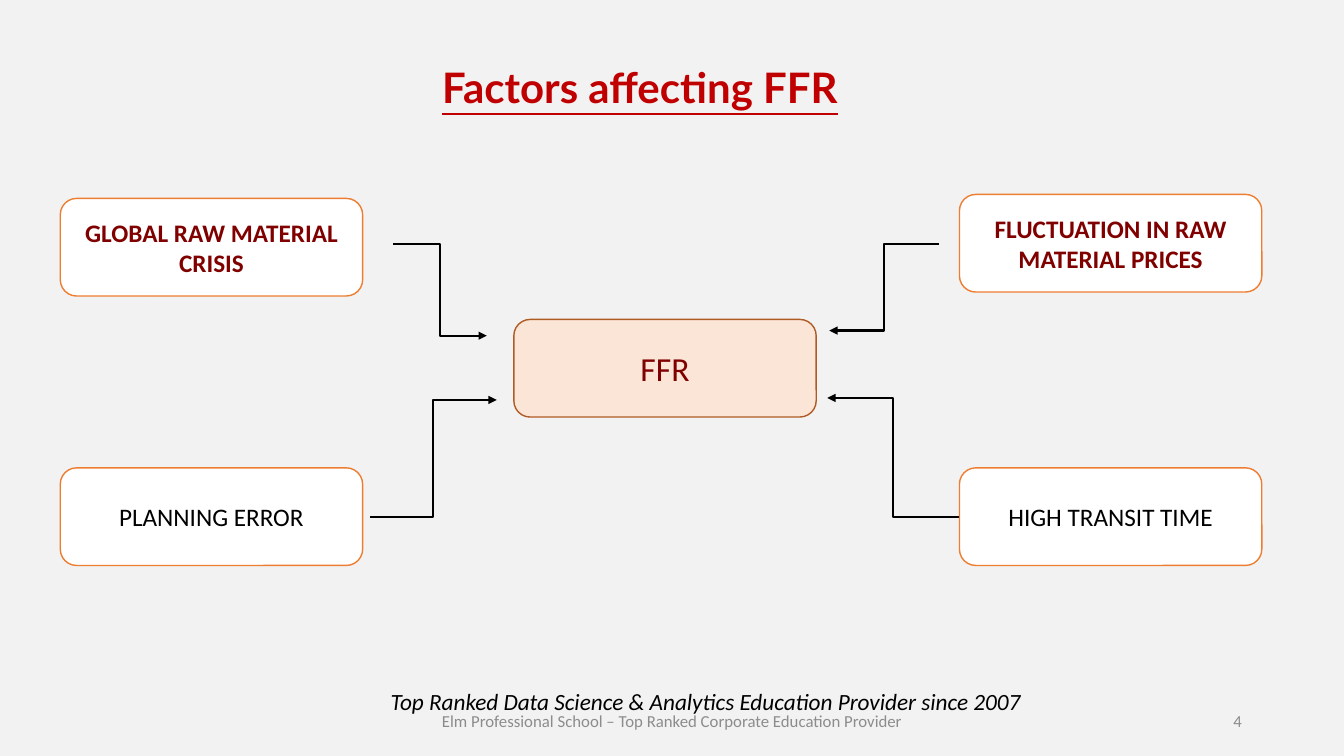
from lxml import etree
from pptx import Presentation
from pptx.dml.color import RGBColor
from pptx.enum.shapes import MSO_CONNECTOR, MSO_SHAPE
from pptx.enum.text import MSO_ANCHOR, MSO_AUTO_SIZE, PP_ALIGN
from pptx.oxml.ns import qn
from pptx.util import Cm, Pt

ELBOW = MSO_CONNECTOR.ELBOW
ROUNDED = MSO_SHAPE.ROUNDED_RECTANGLE
MIDDLE = MSO_ANCHOR.MIDDLE
NO_FIT = MSO_AUTO_SIZE.NONE
CENTER, RIGHT = PP_ALIGN.CENTER, PP_ALIGN.RIGHT

COLORS = {
    "page": "F2F2F2", "title": "C00000", "accent": "800000", "black": "000000",
    "white": "FFFFFF", "orange": "ED7D31", "peach": "FBE5D6",
    "brown": "AF5C24", "gray": "8C8C8C",
}
BOX_SIZE = (7.62, 2.46)
LEFT_X, RIGHT_X, LOWER_Y = 1.52, 24.18, 11.79

# Left, top, label, bold, text colour
FACTORS = [
    (LEFT_X, 5.0, "GLOBAL RAW MATERIAL CRISIS", True, "accent"),
    (RIGHT_X, 4.9, "FLUCTUATION IN RAW MATERIAL PRICES", True, "accent"),
    (LEFT_X, LOWER_Y, "PLANNING ERROR", False, "black"),
    (RIGHT_X, LOWER_Y, "HIGH TRANSIT TIME", False, "black"),
]
# Start x, start y, end x, end y
ARROWS = [
    (9.91, 6.15, 12.27, 8.46),
    (23.67, 6.15, 20.9, 8.33),
    (9.32, 13.03, 12.52, 10.08),
    (RIGHT_X, 13.03, 20.85, 10.03),
]


def color(name):
    """Return the named colour."""
    return RGBColor.from_string(COLORS[name])


def style_font(font, size, ink, name="Calibri", bold=False, italic=False):
    """Format a font."""
    font.name, font.size = name, Pt(size)
    font.bold, font.italic = bold, italic
    font.color.rgb = color(ink)


def prepare_para(shape, align=CENTER):
    """Set up a shape's text frame and return its first paragraph."""
    frame = shape.text_frame
    frame.word_wrap = True
    frame.auto_size = NO_FIT
    frame.vertical_anchor = MIDDLE
    para = frame.paragraphs[0]
    para.alignment = align
    return para


def write(shape, text, size, ink, **style):
    """Write one centred run and return it."""
    span = prepare_para(shape).add_run()
    span.text = text
    style_font(span.font, size, ink, **style)
    return span


def add_title(page, left, top, width, height):
    """Place and format the title placeholder."""
    title = page.shapes.title
    title.left, title.top = Cm(left), Cm(top)
    title.width, title.height = Cm(width), Cm(height)
    span = write(title, "Factors affecting FFR", 30, "title", name="Lato", bold=True)
    span.font.underline = True


def add_box(page, left, top, label, size, ink, fill="white", edge="orange", bold=False):
    """Add a labelled rounded box."""
    width, height = BOX_SIZE
    box = page.shapes.add_shape(ROUNDED, Cm(left), Cm(top), Cm(width), Cm(height))
    box.shadow.inherit = False
    box.fill.solid()
    box.fill.fore_color.rgb = color(fill)
    box.line.color.rgb = color(edge)
    box.line.width = Pt(1)
    write(box, label, size, ink, bold=bold)


def add_arrow(page, *ends):
    """Add an elbow arrow between two points."""
    arrow = page.shapes.add_connector(ELBOW, *map(Cm, ends))
    arrow.line.color.rgb = color("black")
    arrow.line.width = Pt(1.5)
    properties = arrow._element.spPr
    etree.SubElement(properties.find(qn("a:ln")), qn("a:tailEnd"), type="triangle")
    etree.SubElement(properties, qn("a:effectLst"))


def add_diagram(page, left, top):
    """Add the four factors, their arrows and FFR at the given position."""
    for x, y, label, bold, ink in FACTORS:
        add_box(page, x, y, label, 18, ink, bold=bold)
    add_box(page, left, top, "FFR", 24, "accent", fill="peach", edge="brown")
    for ends in ARROWS:
        add_arrow(page, *ends)


def add_page_number(box):
    """Put a right-aligned slide number field into the box."""
    para = prepare_para(box, RIGHT)
    field = etree.SubElement(
        para._p, qn("a:fld"),
        id="{B6F15528-21DE-4FAA-801E-634DDDAF4B2B}", type="slidenum")
    properties = etree.SubElement(field, qn("a:rPr"), lang="en-US", sz="1200")
    fill = etree.SubElement(properties, qn("a:solidFill"))
    etree.SubElement(fill, qn("a:srgbClr"), val=COLORS["gray"])
    etree.SubElement(properties, qn("a:latin"), typeface="Calibri")
    etree.SubElement(field, qn("a:t")).text = "4"


def add_footer(page, top):
    """Add the tagline, school name and page number from the given top."""
    def text_box(left, offset, width):
        """Add an empty text box below the footer's top."""
        return page.shapes.add_textbox(
            Cm(left), Cm(top + offset), Cm(width), Cm(1.01))

    write(text_box(5.79, 0, 23.98),
          "Top Ranked Data Science & Analytics Education Provider since 2007",
          16.6, "black", italic=True)
    write(text_box(10.5, 0.49, 12.88),
          "Elm Professional School – Top Ranked Corporate Education Provider",
          12, "gray")
    add_page_number(text_box(23.93, 0.49, 7.62))


def build_factors_page(deck):
    """Build the page of factors affecting FFR."""
    page = deck.slides.add_slide(deck.slide_layouts[5])
    page.background.fill.solid()
    page.background.fill.fore_color.rgb = color("page")
    add_title(page, 5.79, 1.18, 20.68, 2)
    add_diagram(page, 12.95, 8.05)
    add_footer(page, 17.17)


deck = Presentation()
deck.slide_width, deck.slide_height = Cm(33.87), Cm(19.05)
# The single page carries number 4
deck.element.set("firstSlideNum", "4")
build_factors_page(deck)
deck.save("out.pptx")
